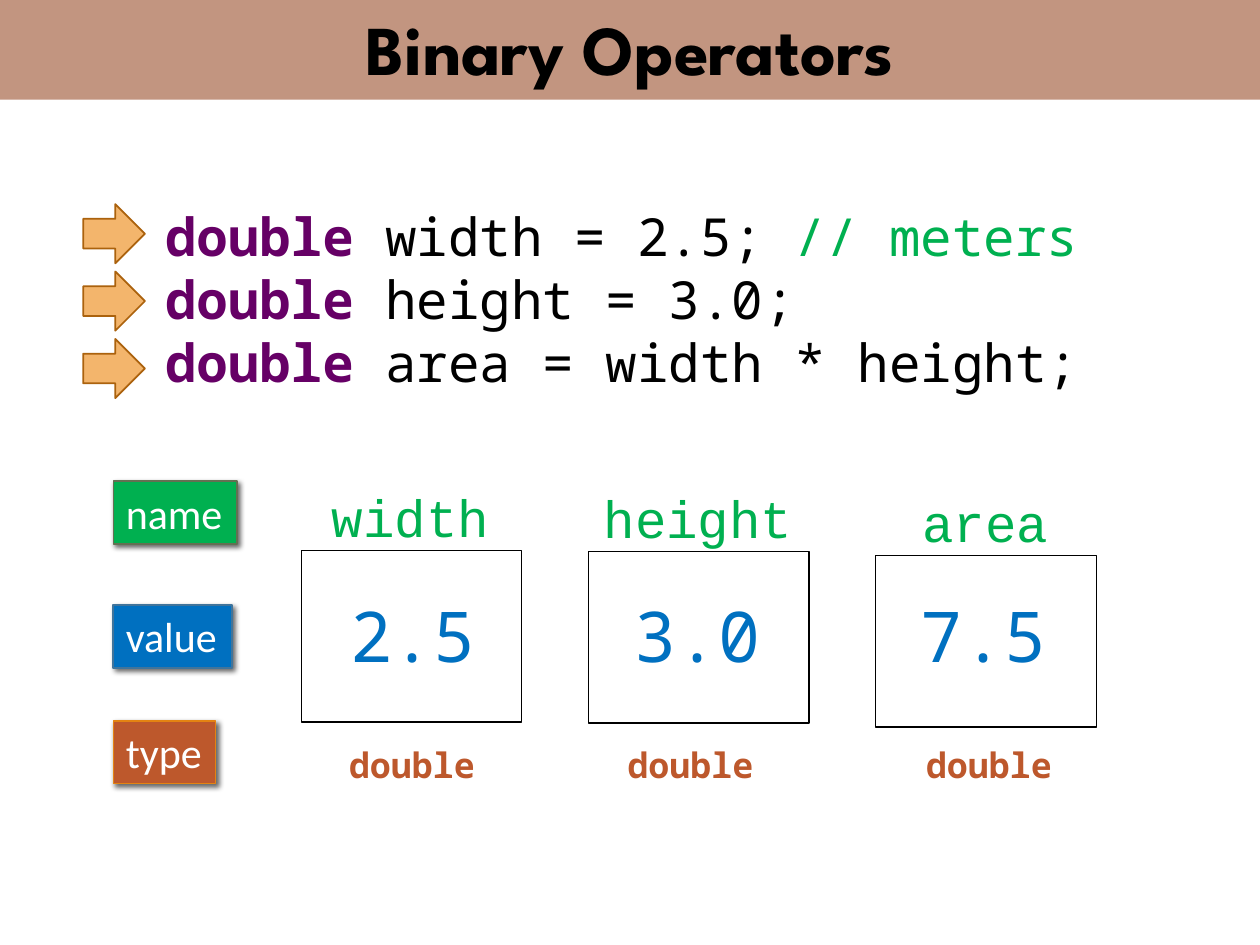
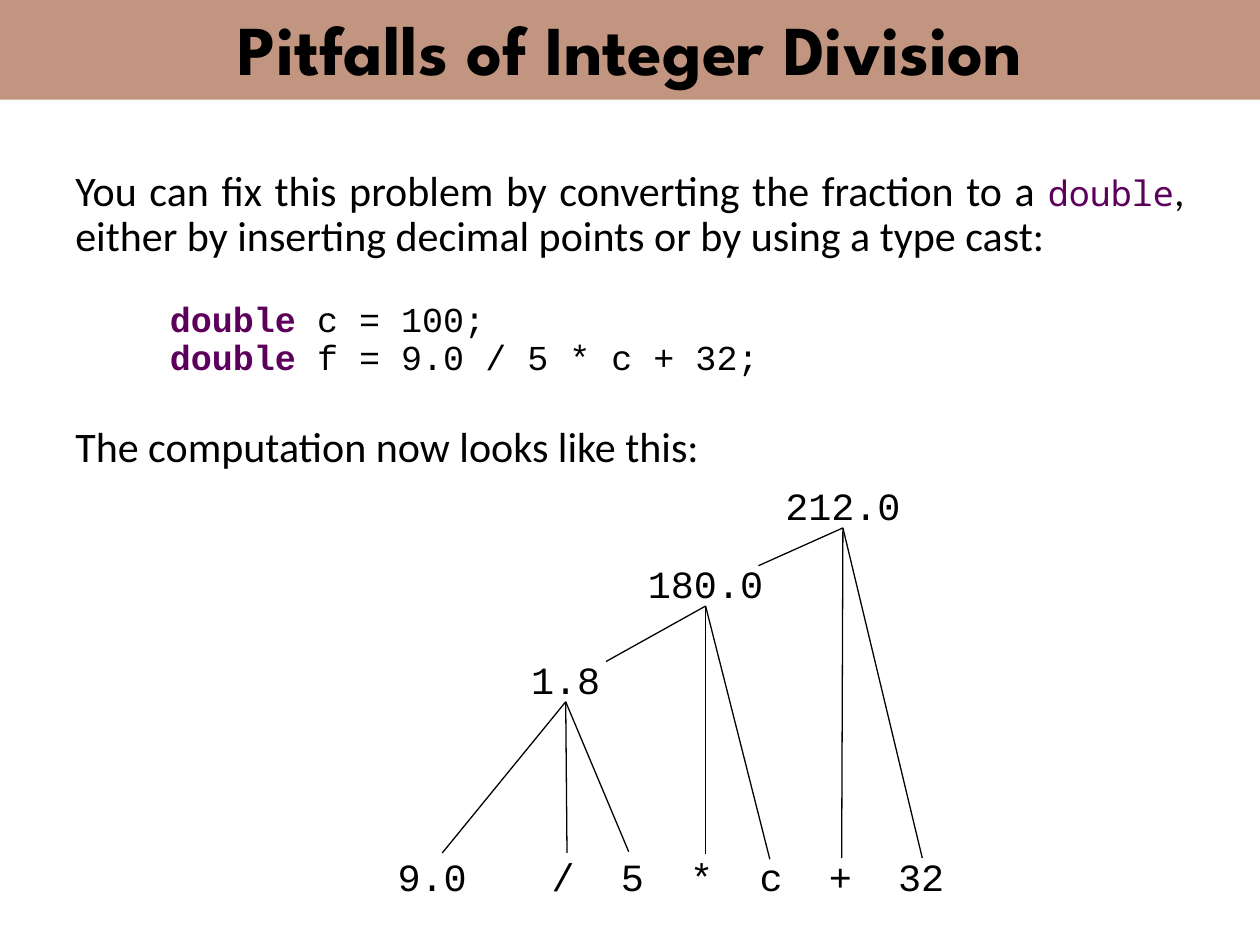
from lxml import etree
from pptx import Presentation
from pptx.dml.color import RGBColor
from pptx.enum.shapes import MSO_CONNECTOR, MSO_SHAPE
from pptx.enum.text import MSO_ANCHOR, MSO_AUTO_SIZE, PP_ALIGN
from pptx.oxml.ns import qn
from pptx.util import Inches, Pt

RECT, ARROW = MSO_SHAPE.RECTANGLE, MSO_SHAPE.RIGHT_ARROW
STRAIGHT = MSO_CONNECTOR.STRAIGHT
LEFT, CENTER, JUSTIFY = PP_ALIGN.LEFT, PP_ALIGN.CENTER, PP_ALIGN.JUSTIFY
MIDDLE, TOP = MSO_ANCHOR.MIDDLE, MSO_ANCHOR.TOP
FIT = MSO_AUTO_SIZE.SHAPE_TO_FIT_TEXT

BLACK = RGBColor(0x00, 0x00, 0x00)
WHITE = RGBColor(0xFF, 0xFF, 0xFF)
BAND = RGBColor(0xC2, 0x95, 0x80)
KEYWORD = RGBColor(0x66, 0x00, 0x66)
DARK_KEYWORD = RGBColor(0x5C, 0x00, 0x5C)
GREEN = RGBColor(0x00, 0xB0, 0x50)
BLUE = RGBColor(0x00, 0x70, 0xC0)
RUST = RGBColor(0xBD, 0x58, 0x2C)
GREEN_EDGE = RGBColor(0x63, 0x70, 0x52)
BLUE_EDGE = RGBColor(0x40, 0x74, 0x9B)
RUST_EDGE = RGBColor(0xE4, 0x83, 0x12)
ARROW_FILL = RGBColor(0xF3, 0xB5, 0x6C)
ARROW_EDGE = RGBColor(0xAB, 0x62, 0x0D)

TITLE_FONT, BODY, MONO, COURIER = (
    "League Spartan", "Calibri", "Noto Sans Mono", "Courier New")


def run(text, size, font, color=BLACK, bold=False):
    return text, size, font, color, bold


def write(sp, paragraphs, align=LEFT, spacing=None, wrap=True, anchor=TOP):
    """Fill a shape with paragraphs, each a list of run() tuples."""
    tf = sp.text_frame
    tf.word_wrap = wrap
    tf.vertical_anchor = anchor
    if not wrap:
        tf.auto_size = FIT
    for i, runs in enumerate(paragraphs):
        p = tf.add_paragraph() if i else tf.paragraphs[0]
        p.alignment = align
        if spacing:
            p.line_spacing = spacing
        for text, size, font, color, bold in runs:
            r = p.add_run()
            r.text = text
            r.font.size = Pt(size)
            r.font.name = font
            r.font.color.rgb = color
            r.font.bold = bold
    return sp


def text_box(s, x, y, w, h, paragraphs, **layout):
    sp = s.shapes.add_textbox(Inches(x), Inches(y), Inches(w), Inches(h))
    return write(sp, paragraphs, **layout)


def box(s, kind, x, y, w, h, fill, edge=None, weight=1):
    sp = s.shapes.add_shape(kind, Inches(x), Inches(y), Inches(w), Inches(h))
    sp.shadow.inherit = False
    sp.fill.solid()
    sp.fill.fore_color.rgb = fill
    if edge is None:
        sp.line.fill.background()
    else:
        sp.line.color.rgb = edge
        sp.line.width = Pt(weight)
    return sp


def drop_shadow(sp):
    effects = sp._element.spPr.find(qn("a:effectLst"))
    shadow = etree.SubElement(effects, qn("a:outerShdw"), blurRad=str(Pt(3)),
                              dist=str(Pt(2)), dir=str(45 * 60000))
    color = etree.SubElement(shadow, qn("a:srgbClr"), val=str(BLACK))
    etree.SubElement(color, qn("a:alpha"), val="60000")


def line(s, x1, y1, x2, y2):
    c = s.shapes.add_connector(STRAIGHT, Inches(x1), Inches(y1),
                               Inches(x2), Inches(y2))
    c.line.color.rgb = BLACK
    c.line.width = Pt(0.75)
    etree.SubElement(c._element.spPr, qn("a:effectLst"))


def add_slide(prs, title):
    s = prs.slides.add_slide(prs.slide_layouts[6])
    band = box(s, RECT, 0, -0.03, 10, 0.82, BAND)
    write(band, [[run(title, 40, TITLE_FONT, bold=True)]],
          align=CENTER, anchor=MIDDLE)
    return s


def declarations(s, x, y):
    """Three lines of code, each with an arrow to its left."""
    def code(text, *comment):
        return [run("double ", 30, MONO, KEYWORD, True),
                run(text, 30, MONO), *comment]

    text_box(s, x, y, 7.52, 1.62, [
        code("width = 2.5; ", run("// meters", 30, MONO, GREEN)),
        code("height = 3.0;"),
        code("area = width * height;")], wrap=False)
    for i in range(3):
        box(s, ARROW, x - 0.55, y + 0.05 + i * 0.535, 0.49, 0.47,
            ARROW_FILL, ARROW_EDGE)


def variable(s, x, y, name, value, value_dx, type_dx):
    """A memory cell at x, y: name above, value inside, type below."""
    box(s, RECT, x, y, 1.75, 1.36, WHITE, BLACK, 0.75)
    text_box(s, x - 0.03, y - 0.57, 1.8, 0.61,
             [[run(name, 30, COURIER, GREEN)]], align=CENTER)
    text_box(s, x + value_dx, 4.65, 1.21, 0.77,
             [[run(value, 40, MONO, BLUE)]], wrap=False)
    text_box(s, x + type_dx, 5.85, 1.21, 0.44,
             [[run("double", 20, MONO, RUST, True)]], wrap=False)


def legend(s, x):
    for label, y, w, fill, edge in (("name", 3.82, 0.98, GREEN, GREEN_EDGE),
                                    ("value", 4.8, 0.94, BLUE, BLUE_EDGE),
                                    ("type", 5.72, 0.81, RUST, RUST_EDGE)):
        sp = box(s, RECT, x, y, w, 0.5, fill, edge)
        drop_shadow(sp)
        write(sp, [[run(label, 24, BODY, WHITE)]], wrap=False)


def binary_operators(prs):
    s = add_slide(prs, "Binary Operators")
    declarations(s, 1.21, 1.57)
    variable(s, 2.39, 4.37, "width", "2.5", 0.29, 0.28)
    variable(s, 4.67, 4.38, "height", "3.0", 0.27, 0.21)
    variable(s, 6.95, 4.41, "area", "7.5", 0.26, 0.3)
    legend(s, 0.9)


def explanation(s, x, y, w):
    layout = {"align": JUSTIFY, "spacing": 0.9}
    text_box(s, x, y, w, 0.83, [[
        run("You can fix this problem by converting the fraction to a ", 24, BODY),
        run("double", 20, MONO, DARK_KEYWORD),
        run(", either by inserting decimal points or by using a type cast:",
            24, BODY)]], **layout)
    text_box(s, x + 0.75, y + 1.05, w - 1, 0.71, [
        [run("double", 20, COURIER, DARK_KEYWORD, True), run(code, 20, COURIER)]
        for code in (" c = 100;", " f = 9.0 / 5 * c + 32;")], **layout)
    text_box(s, x, y + 2.03, w, 0.46,
             [[run("The computation now looks like this:", 24, BODY)]], **layout)


def tree_label(s, center, y, text):
    text_box(s, center - 0.62, y, 1.24, 0.43, [[run(text, 22, COURIER)]],
             align=CENTER, spacing=0.9)


def evaluation_tree(s, leaf_y):
    """Expression along the bottom, with each result above its operands."""
    nodes = (("1.8", 4.49, 5.57, ((3.51, 6.77), (4.5, 6.77), (4.99, 6.76))),
             ("180.0", 5.6, 4.81, ((4.81, 5.25), (5.6, 6.78), (6.11, 6.82))),
             ("212.0", 6.69, 4.19, ((6.02, 4.49), (6.68, 6.81), (7.32, 6.81))))
    for result, x, y, operands in nodes:
        for end_x, end_y in operands:
            line(s, x, y, end_x, end_y)
        tree_label(s, x, y - 0.37, result)
    tree_label(s, 3.43, leaf_y, "9.0")
    rest = text_box(s, 4.28, leaf_y, 3.6, 0.44,
                    [[run("/\t5\t*\tc\t+\t32", 22, COURIER)]], spacing=0.9)
    pPr = rest.text_frame.paragraphs[0]._p.get_or_add_pPr()
    tabs = etree.SubElement(pPr, qn("a:tabLst"))
    for i in range(1, 6):
        etree.SubElement(tabs, qn("a:tab"), pos=str(Inches(0.55 * i)), algn="l")


def integer_division(prs):
    s = add_slide(prs, "Pitfalls of Integer Division")
    explanation(s, 0.5, 1.3, 9)
    evaluation_tree(s, 6.76)


def main():
    prs = Presentation()
    prs.slide_width, prs.slide_height = Inches(10), Inches(7.5)
    binary_operators(prs)
    integer_division(prs)
    prs.save("out.pptx")


if __name__ == "__main__":
    main()
